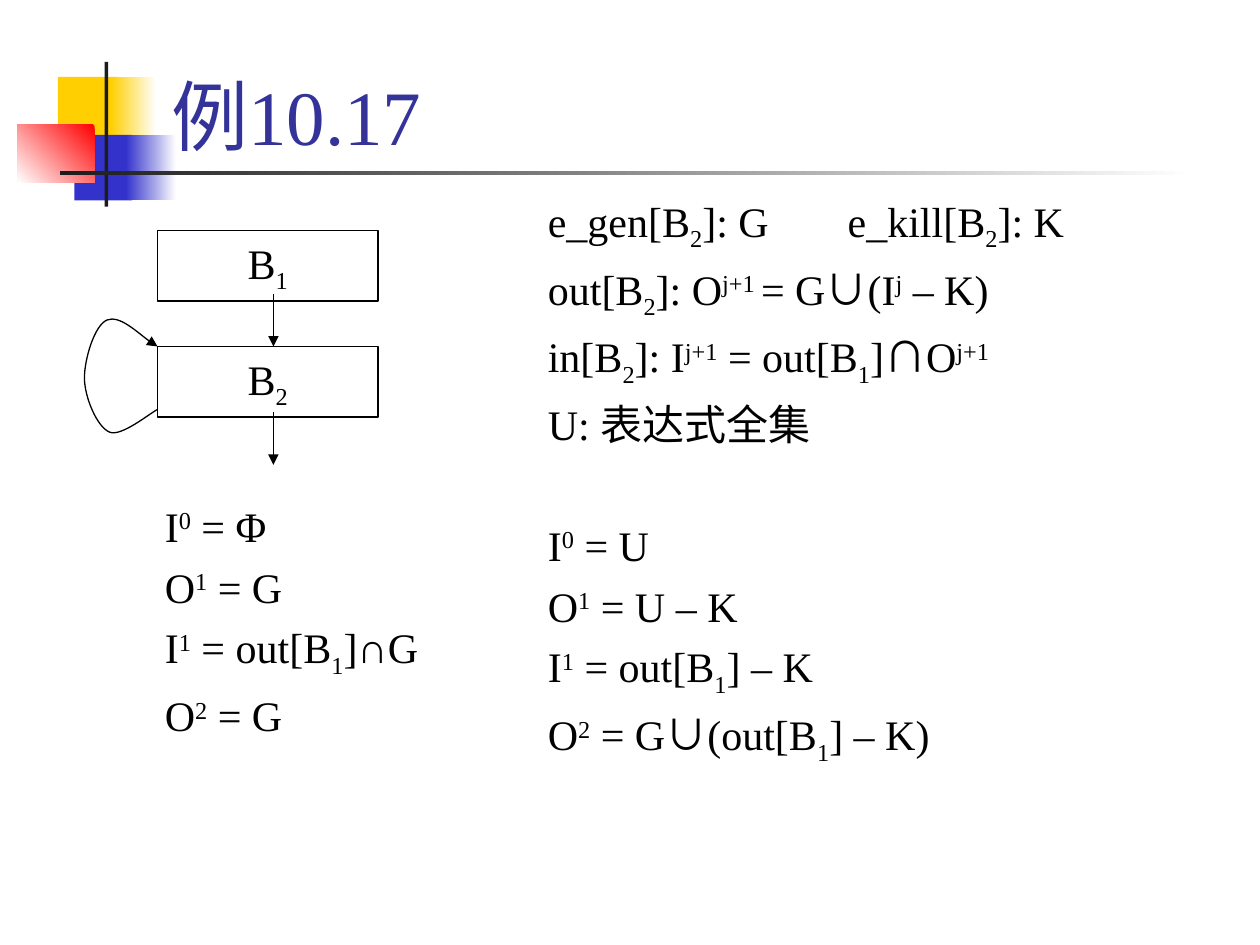
import pptx
import pptx.dml.color
import pptx.enum.shapes
import pptx.enum.text
import pptx.oxml
import pptx.oxml.ns
import pptx.util
from lxml import etree

Inches = pptx.util.Inches
Pt = pptx.util.Pt
qn = pptx.oxml.ns.qn
ALIGN = pptx.enum.text.PP_ALIGN
ANCHOR = pptx.enum.text.MSO_ANCHOR

COLORS = {
    "white": "FFFFFF", "yellow": "FFCF01", "blue": "3333CC", "red": "FF0000",
    "dark": "1C1C1C", "title": "333399", "text": "000000",
}
LATIN, CJK = "Times New Roman", "Noto Sans CJK SC"
BASELINES = {"_": -25000, "^": 30000}


def rgb(name):
    return pptx.dml.color.RGBColor.from_string(COLORS[name])


def split_markup(text):
    first, *parts = text.split("{")
    if first:
        yield "", first
    for part in parts:
        marked, _, plain = part.partition("}")
        yield marked[0], marked[1:]
        if plain:
            yield "", plain


def write(p, text, size=24, color="text", align=ALIGN.LEFT, before=0, hanging=0):
    p.alignment = align
    pPr = p._p.get_or_add_pPr()
    if hanging:
        pPr.set("marL", str(Inches(hanging)))
        pPr.set("indent", str(-Inches(hanging)))
    if "\t" in text:
        tabs = etree.SubElement(pPr, qn("a:tabLst"))
        for inch in range(8):
            etree.SubElement(tabs, qn("a:tab"), pos=str(Inches(inch)), algn="l")
    p.space_before = Pt(before)
    for mark, piece in split_markup(text):
        r = p.add_run()
        r.text = piece
        r.font.size = Pt(size)
        r.font.color.rgb = rgb(color)
        r.font.name = CJK if mark == "*" else LATIN
        rPr = r._r.get_or_add_rPr()
        etree.SubElement(rPr, qn("a:ea"), typeface=CJK)
        if mark in BASELINES:
            rPr.set("baseline", str(BASELINES[mark]))


class SlideBuilder:
    def __init__(self, s, line_width=0.75, line_color="text"):
        self.s = s
        self.line_width = line_width
        self.line_color = line_color

    def outline(self, sp, arrow=False):
        sp.line.color.rgb = rgb(self.line_color)
        sp.line.width = Pt(self.line_width)
        if arrow:
            etree.SubElement(sp.line._get_or_add_ln(), qn("a:tailEnd"), type="triangle")

    def rect(self, x, y, w, h):
        sp = self.s.shapes.add_shape(
            pptx.enum.shapes.MSO_SHAPE.RECTANGLE,
            Inches(x), Inches(y), Inches(w), Inches(h))
        sp.shadow.inherit = False
        return sp

    def block(self, x, y, w, h, color, fade_to=None, angle=180):
        sp = self.rect(x, y, w, h)
        sp.line.fill.background()
        if fade_to:
            sp.fill.gradient()
            sp.fill.gradient_angle = angle
            for stop, name in zip(sp.fill.gradient_stops, (color, fade_to)):
                stop.color.rgb = rgb(name)
        else:
            sp.fill.solid()
            sp.fill.fore_color.rgb = rgb(color)

    def node(self, x, y, w, h, text):
        sp = self.rect(x, y, w, h)
        sp.fill.background()
        self.outline(sp)
        sp.text_frame.vertical_anchor = ANCHOR.MIDDLE
        write(sp.text_frame.paragraphs[0], text, align=ALIGN.CENTER)

    def text(self, x, y, w, h, lines, anchor=ANCHOR.TOP, gaps=None, **style):
        sp = self.s.shapes.add_textbox(Inches(x), Inches(y), Inches(w), Inches(h))
        tf = sp.text_frame
        tf.word_wrap = True
        tf.vertical_anchor = anchor
        for i, line in enumerate(lines):
            p = tf.add_paragraph() if i else tf.paragraphs[0]
            before = (gaps or {}).get(i, 6) if i else 0
            write(p, line, before=before, **style)

    def arrow(self, x, top, bottom):
        sp = self.s.shapes.add_connector(
            pptx.enum.shapes.MSO_CONNECTOR.STRAIGHT,
            Inches(x), Inches(top), Inches(x), Inches(bottom))
        self.outline(sp, arrow=True)
        etree.SubElement(sp._element.spPr, qn("a:effectLst"))

    def curved_arrow(self, points):
        start, *rest = [(Inches(x), Inches(y)) for x, y in points]
        builder = self.s.shapes.build_freeform(*start)
        builder.add_line_segments(rest, close=False)
        sp = builder.convert_to_shape()
        path = next(sp._element.iter(qn("a:path")))
        segments = path.findall(qn("a:lnTo"))
        for i in range(0, len(segments), 3):
            curve = etree.SubElement(path, qn("a:cubicBezTo"))
            for segment in segments[i:i + 3]:
                curve.append(segment[0])
                path.remove(segment)
        sp.shadow.inherit = False
        sp.fill.background()
        self.outline(sp, arrow=True)


def main():
    prs = pptx.Presentation()
    prs.slide_width, prs.slide_height = Inches(10), Inches(7.5)
    b = SlideBuilder(prs.slides.add_slide(prs.slide_layouts[6]))

    b.block(0.46, 0.61, 0.48, 0.52, "yellow")
    b.block(0.88, 0.61, 0.36, 0.52, "white", "yellow")
    b.block(0.59, 1.07, 0.46, 0.52, "blue")
    b.block(1, 1.07, 0.4, 0.52, "white", "blue")
    b.block(0.14, 0.99, 0.61, 0.46, "red", "white", angle=225)
    b.block(0.83, 0.49, 0.03, 1.15, "dark")
    b.block(0.48, 1.36, 9, 0.03, "white", "dark")

    b.text(1.26, 0.08, 8.52, 1.25, ["例10.17"], anchor=ANCHOR.BOTTOM,
           size=44, color="title")
    b.text(4.25, 1.5, 5.54, 5.17, [
        "e_gen[B{_2}]: G\t\te_kill[B{_2}]: K",
        "out[B{_2}]: O{^j+1 }= G{*∪}(I{^j} – K)",
        "in[B{_2}]: I{^j+1} = out[B{_1}]{*∩}O{^j+1}",
        "U: 表达式全集",
        "I{^0} = U",
        "O{^1} = U – K",
        "I{^1} = out[B{_1}] – K",
        "O{^2} = G{*∪}(out[B{_1}] – K)",
    ], gaps={4: 40}, hanging=0.38)

    for i, name in enumerate(("B{_1}", "B{_2}")):
        b.node(1.25, 1.83 + 0.92 * i, 1.75, 0.56, name)
    for top in (2.33, 3.27):
        b.arrow(2.17, top, top + 0.42)
    b.curved_arrow([
        (1.25, 3.25),
        (1.19, 3.28), (0.96, 3.47), (0.87, 3.43),
        (0.77, 3.39), (0.67, 3.15), (0.67, 3),
        (0.67, 2.85), (0.75, 2.58), (0.85, 2.54),
        (0.95, 2.5), (1.17, 2.71), (1.25, 2.75),
    ])

    b.text(1.21, 3.92, 3.54, 2.25, [
        "I{^0} = Φ",
        "O{^1} = G",
        "I{^1} = out[B{_1}]∩G",
        "O{^2} = G",
    ], hanging=0.38)

    prs.save("out.pptx")


if __name__ == "__main__":
    main()
